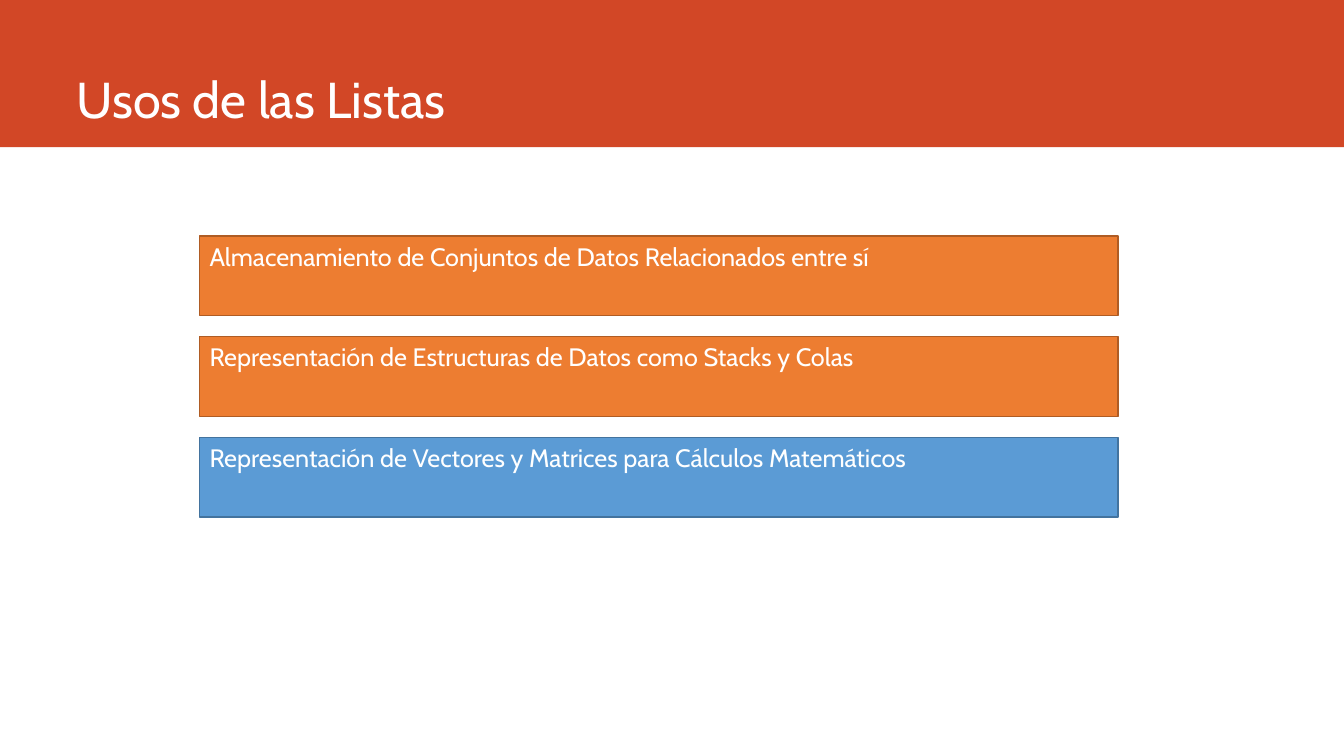
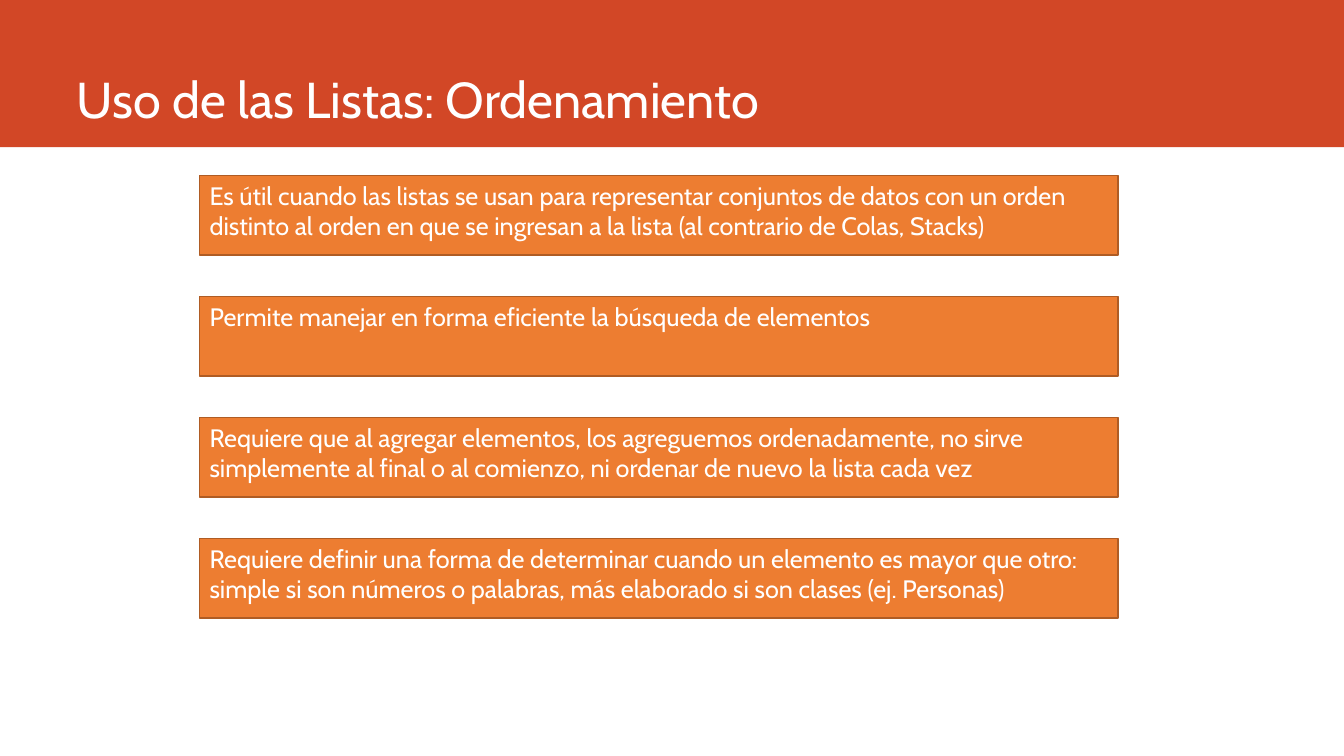
"""Build two slides on the uses of lists, with a title band and stacked boxes."""
from pptx import Presentation
from pptx.dml.color import RGBColor
from pptx.enum import shapes, text
from pptx.util import Inches, Pt

FONT = "Cabin"
WHITE = "FFFFFF"
BAND = "D24726"
ORANGE = ("ED7D31", "AF5C24")
BLUE = ("5B9BD5", "43739E")
WIDTH, HEIGHT = 13.33, 7.5
BOX_LEFT, BOX_WIDTH, BOX_HEIGHT = 1.98, 9.11, 0.79

SLIDES = [
    {
        "title": "Usos de las Listas",
        "top": 2.34,
        "step": 1.0,
        "boxes": [
            ("Almacenamiento de Conjuntos de Datos Relacionados entre sí", ORANGE),
            ("Representación de Estructuras de Datos como Stacks y Colas", ORANGE),
            ("Representación de Vectores y Matrices para Cálculos Matemáticos", BLUE),
        ],
    },
    {
        "title": "Uso de las Listas: Ordenamiento",
        "top": 1.74,
        "step": 1.2,
        "boxes": [
            ("Es útil cuando las listas se usan para representar conjuntos de datos "
             "con un orden distinto al orden en que se ingresan a la lista "
             "(al contrario de Colas, Stacks)", ORANGE),
            ("Permite manejar en forma eficiente la búsqueda de elementos", ORANGE),
            ("Requiere que al agregar elementos, los agreguemos ordenadamente, "
             "no sirve simplemente al final o al comienzo, ni ordenar de nuevo "
             "la lista cada vez", ORANGE),
            ("Requiere definir una forma de determinar cuando un elemento es mayor "
             "que otro: simple si son números o palabras, más elaborado si son "
             "clases (ej. Personas)", ORANGE),
        ],
    },
]


def color(value):
    return RGBColor.from_string(value)


def write(box, words, size, anchor):
    frame = box.text_frame
    frame.word_wrap = True
    frame.vertical_anchor = anchor
    para = frame.paragraphs[0]
    para.alignment = text.PP_ALIGN.LEFT
    span = para.add_run()
    span.text = words
    for name, value in {"name": FONT, "size": Pt(size)}.items():
        setattr(span.font, name, value)
    span.font.color.rgb = color(WHITE)


def add_rectangle(page, place, fill, line=None):
    box = page.shapes.add_shape(shapes.MSO_SHAPE.RECTANGLE, *map(Inches, place))
    box.shadow.inherit = False
    box.fill.solid()
    box.fill.fore_color.rgb = color(fill)
    if line:
        box.line.color.rgb = color(line)
        box.line.width = Pt(1)
    else:
        box.line.fill.background()
    return box


def add_title(page, words):
    add_rectangle(page, (0, 0, WIDTH, 1.46), BAND)
    title = page.shapes.add_textbox(*map(Inches, (0.66, 0, 11.76, 1.32)))
    write(title, words, 36, text.MSO_ANCHOR.BOTTOM)


def add_boxes(page, top, step, boxes):
    for index, (words, (fill, line)) in enumerate(boxes):
        place = (BOX_LEFT, top + index * step, BOX_WIDTH, BOX_HEIGHT)
        box = add_rectangle(page, place, fill, line)
        write(box, words, 18, text.MSO_ANCHOR.TOP)


def main():
    deck = Presentation()
    deck.slide_width, deck.slide_height = Inches(WIDTH), Inches(HEIGHT)
    for content in SLIDES:
        page = deck.slides.add_slide(deck.slide_layouts[6])
        add_title(page, content["title"])
        add_boxes(page, content["top"], content["step"], content["boxes"])
    deck.save("out.pptx")


if __name__ == "__main__":
    main()
